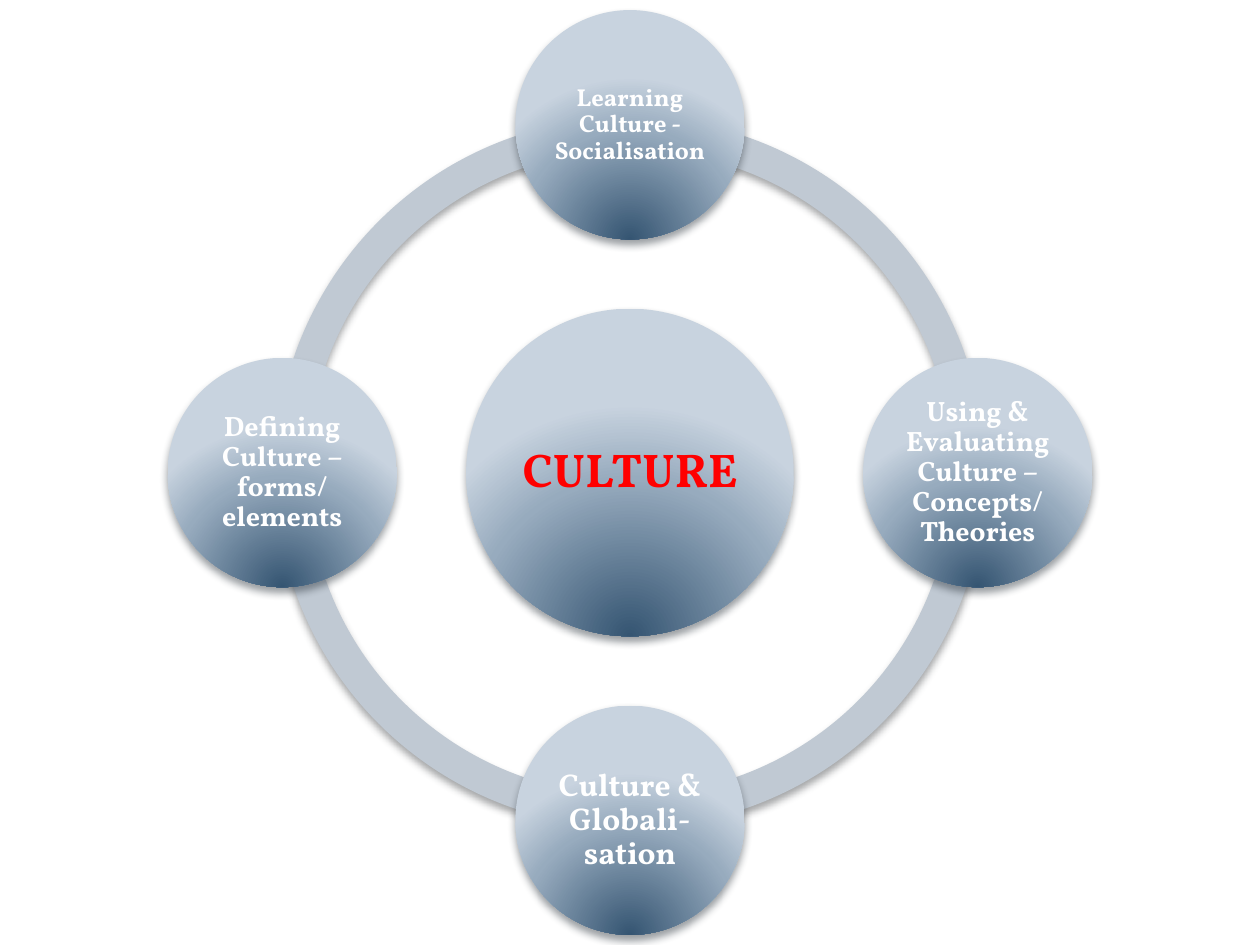
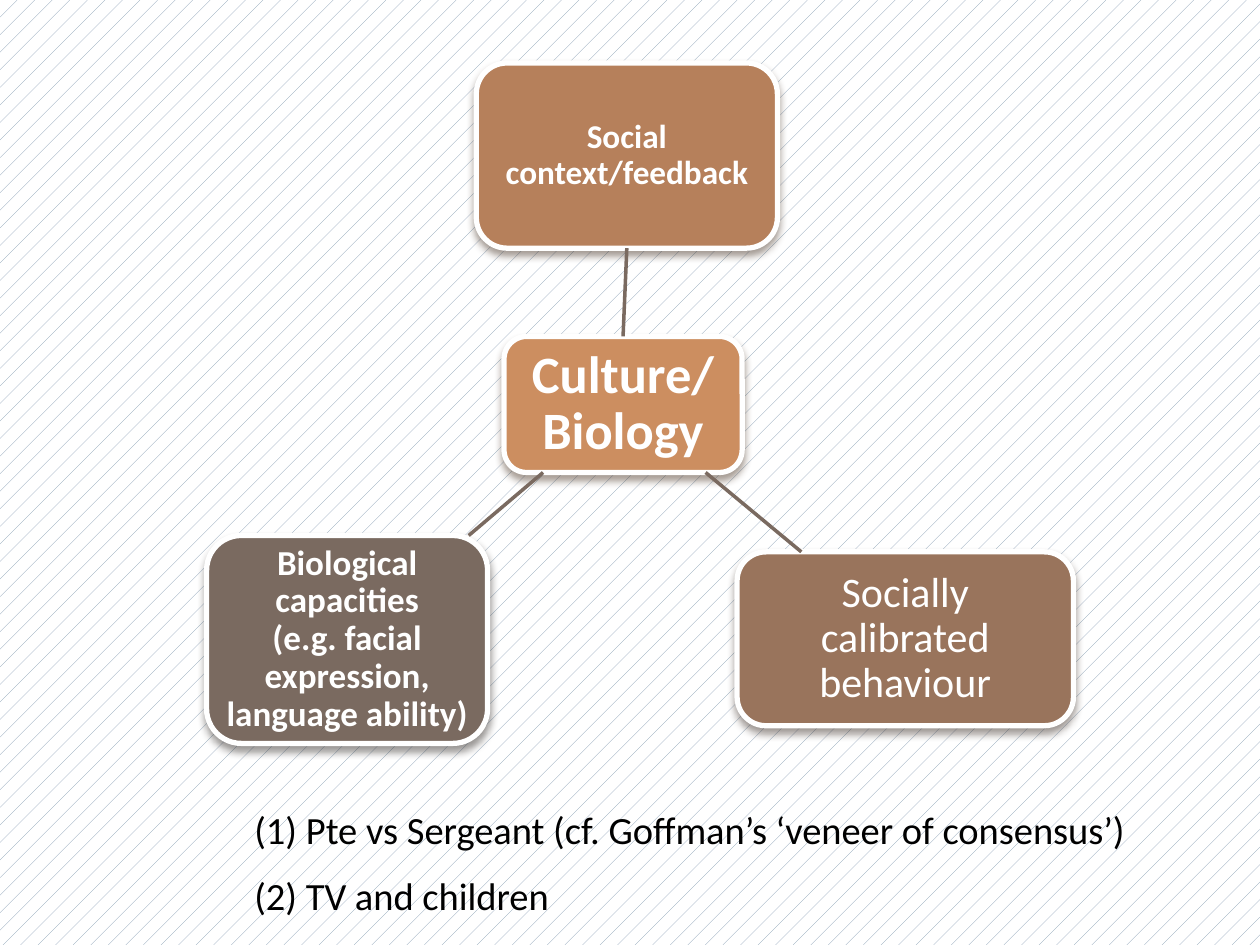
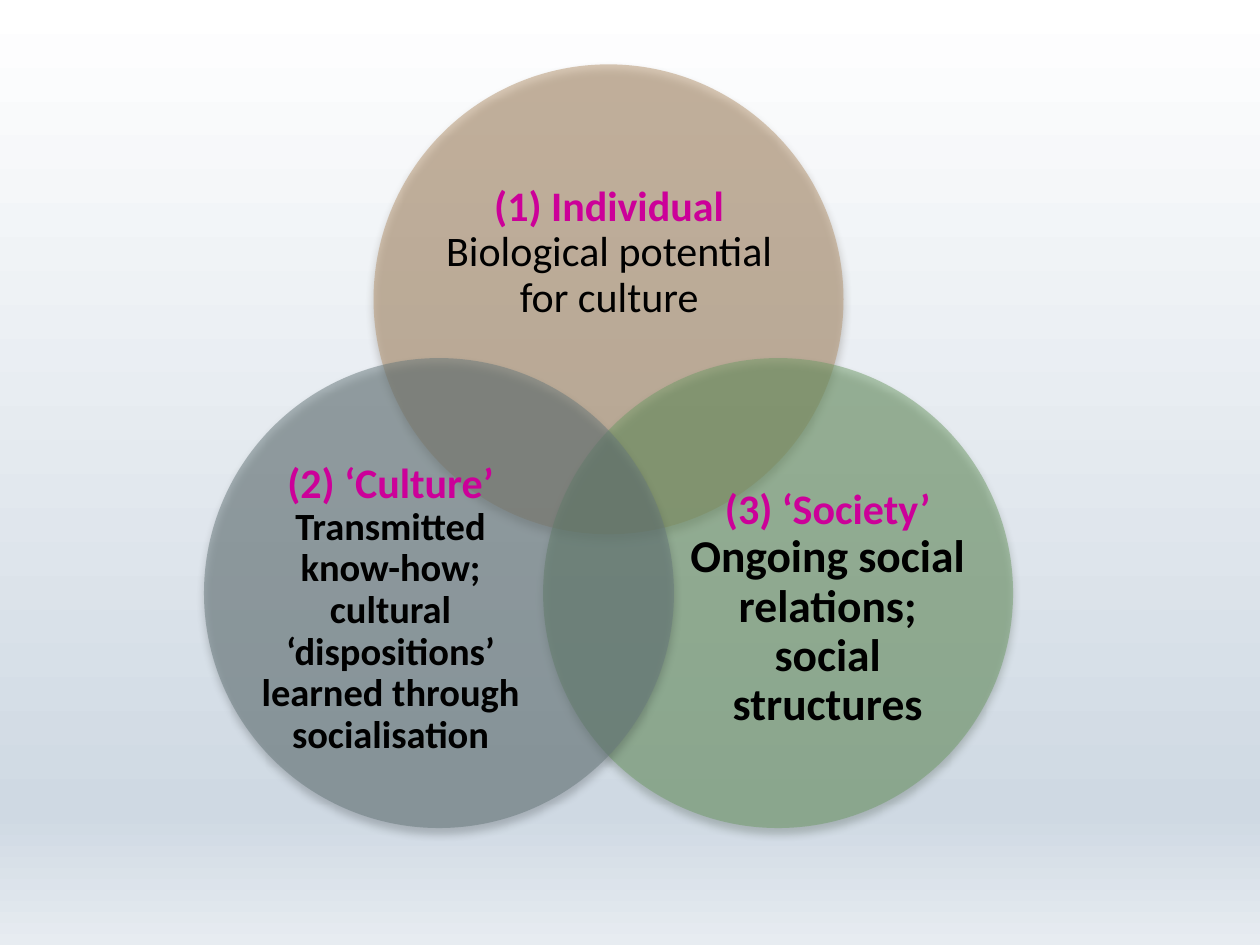
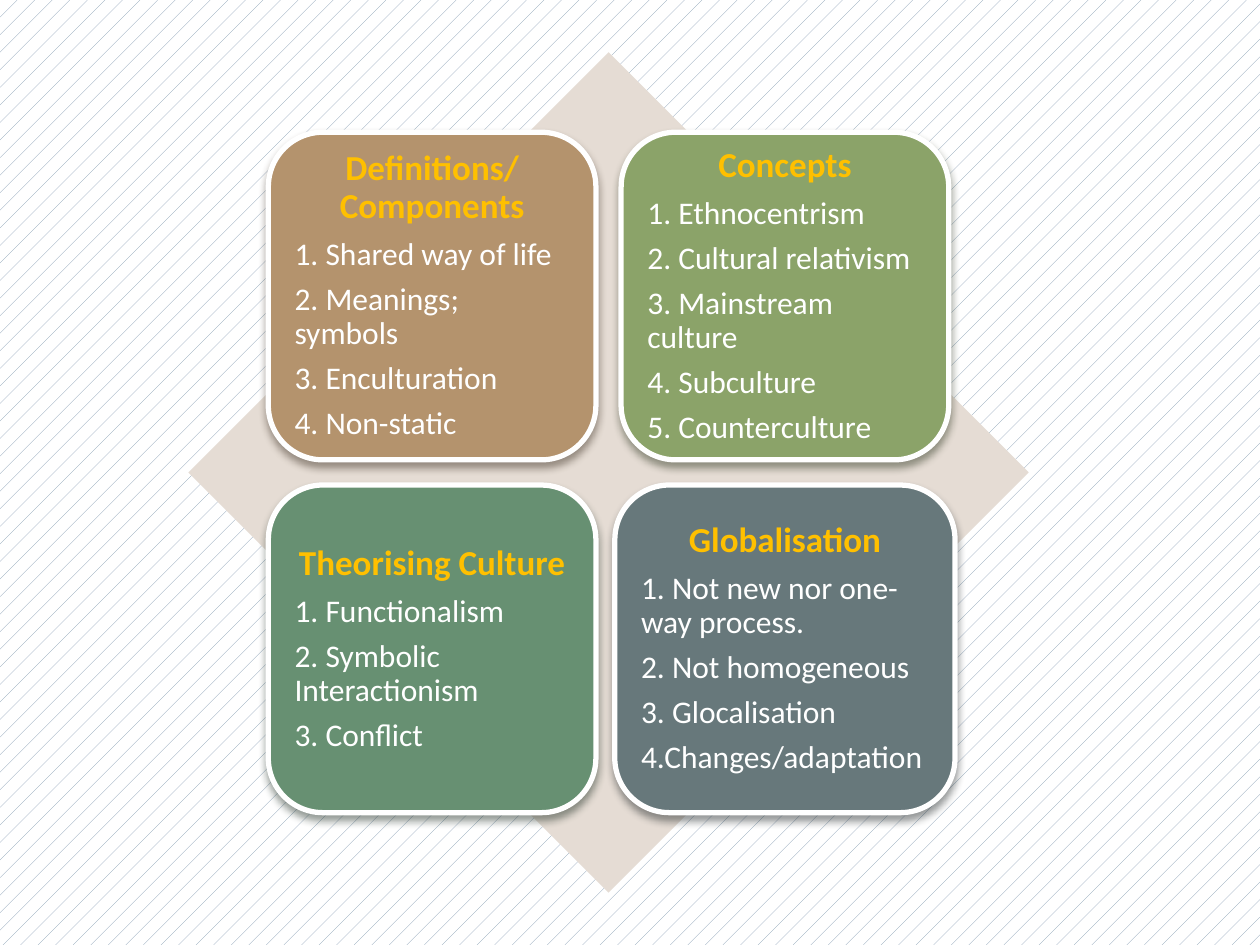
import copy
import math
from dataclasses import dataclass

import pptx
import pptx.dml.color
import pptx.enum.dml
import pptx.enum.shapes
import pptx.enum.text
import pptx.oxml
import pptx.oxml.ns
import pptx.util

SHAPE = pptx.enum.shapes.MSO_SHAPE
ALIGN = pptx.enum.text.PP_ALIGN
qn = pptx.oxml.ns.qn
NS = pptx.oxml.ns.nsdecls("a")

# Grid: 100 columns by 75 rows
COLS, ROWS = 100, 75
SLIDE_W, SLIDE_H = pptx.util.Inches(10), pptx.util.Inches(7.5)

# Shared colours and styles
WHITE, BLACK, RED = "FFFFFF", "000000", "FF0000"
BLUE, RING, DIAMOND = "7E97AD", "C0C9D3", "E5DCD4"
ORANGE, COPPER, BROWN, TAUPE = "CC8E60", "B6805B", "99745C", "7A6A60"
TAN, OLIVE, GREEN, SAGE, SLATE = "B4936D", "8BA369", "6F9B67", "679072", "67787B"
MAGENTA, GOLD = "CC0099", "FFC000"
BODY, SERIF = "Calibri", "Vollkorn"
BALL_STOPS = [(0, "355572"), (68, "97ABBE"), (100, "C8D3DF")]
SKY_STOPS = [(0, WHITE), (86, "CFD9E3"), (100, "E7ECF1")]
BALL_PATH = '<a:path path="circle"><a:fillToRect l="50000" t="130000" r="50000" b="-30000"/></a:path>'
DOWNWARD = '<a:lin ang="5400000" scaled="0"/>'
SHADE = 0.357          # shadow colour as a share of the fill colour
# Share of the size left free on each side of the text area
TEXT_INSET = {SHAPE.OVAL: 0.146, SHAPE.ROUNDED_RECTANGLE: 0.049}


@dataclass
class Box:
    """A place on the grid, in columns and rows."""
    left: float
    top: float
    width: float
    height: float

    def inner(self, share: float) -> "Box":
        d = share * min(self.width, self.height)
        return Box(self.left + d, self.top + d, self.width - 2 * d, self.height - 2 * d)

    def emu(self) -> list[int]:
        return [col(self.left), row(self.top), col(self.width), row(self.height)]


@dataclass
class Run:
    text: str
    size: float
    color: str = WHITE
    bold: bool = True
    font: str = BODY


@dataclass
class Para:
    runs: list[Run]
    align: ALIGN = ALIGN.CENTER


@dataclass
class Node:
    """A filled shape with its label."""
    box: Box
    kind: SHAPE
    fill: str
    paras: list[Para]
    margin: float = 0.0             # label margin, in columns
    label_box: Box | None = None    # set when the label is off centre
    outlined: bool = False
    ball: bool = False
    alpha: int = 100


def col(n: float) -> int:
    return round(SLIDE_W * n / COLS)


def row(n: float) -> int:
    return round(SLIDE_H * n / ROWS)


def rgb(color: str) -> pptx.dml.color.RGBColor:
    return pptx.dml.color.RGBColor.from_string(color)


def darker(color: str) -> str:
    return "".join(f"{round(int(color[i:i + 2], 16) * SHADE):02X}" for i in (0, 2, 4))


def centred(x: float, y: float, width: float, height: float) -> Box:
    return Box(x - width / 2, y - height / 2, width, height)


def orbit(x: float, y: float, radius: float, degrees: float, size: float) -> Box:
    a = math.radians(degrees)
    return centred(x + radius * math.cos(a), y + radius * math.sin(a), size, size)


# Fills, shadows and backgrounds
def set_gradient(fill, root, stops: list[tuple[int, str]], direction: str) -> None:
    fill.gradient()
    grad = root.find(".//" + qn("a:gradFill"))
    grad.clear()
    gs = "".join(f'<a:gs pos="{pos * 1000}"><a:srgbClr val="{c}"/></a:gs>' for pos, c in stops)
    grad.append(pptx.oxml.parse_xml(f"<a:gsLst {NS}>{gs}</a:gsLst>"))
    grad.append(pptx.oxml.parse_xml(direction.replace(" ", f" {NS} ", 1)))


def add_shadow(sp, color: str) -> None:
    blur, dist = pptx.util.Pt(4.5), pptx.util.Pt(3)
    sp._element.spPr.find(qn("a:effectLst")).append(pptx.oxml.parse_xml(
        f'<a:outerShdw {NS} blurRad="{blur}" dist="{dist}" dir="5400000" rotWithShape="0">'
        f'<a:srgbClr val="{darker(color)}"><a:alpha val="48000"/></a:srgbClr></a:outerShdw>'))


def pattern_background(s) -> None:
    fill = s.background.fill
    fill.patterned()
    fill.pattern = pptx.enum.dml.MSO_PATTERN.PERCENT_5
    fill.fore_color.rgb = rgb(BLUE)
    fill.back_color.rgb = rgb(WHITE)


# Shapes and text
def add_shape(s, kind: SHAPE, box: Box, color: str, shadow: bool = True):
    sp = s.shapes.add_shape(kind, *box.emu())
    sp.shadow.inherit = False
    sp.fill.solid()
    sp.fill.fore_color.rgb = rgb(color)
    sp.line.fill.background()
    if shadow:
        add_shadow(sp, color)
    return sp


def add_run(p, run: Run) -> None:
    for i, part in enumerate(run.text.split("\n")):
        if i:
            p.add_line_break()
            p._p.findall(qn("a:br"))[-1].append(copy.deepcopy(p.runs[-1]._r.rPr))
        if part:
            r = p.add_run()
            r.text = part
            r.font.size = pptx.util.Pt(run.size)
            r.font.name = run.font
            r.font.bold = run.bold
            r.font.color.rgb = rgb(run.color)


def add_label(s, box: Box, paras: list[Para], margin: float) -> None:
    tf = s.shapes.add_textbox(*box.emu()).text_frame
    tf.word_wrap = True
    tf.vertical_anchor = pptx.enum.text.MSO_ANCHOR.MIDDLE
    tf.margin_left = tf.margin_top = tf.margin_right = tf.margin_bottom = col(margin)
    for i, para in enumerate(paras):
        p = tf.add_paragraph() if i else tf.paragraphs[0]
        p.alignment = para.align
        p.line_spacing = 0.9
        p.space_after = pptx.util.Pt(0.35 * para.runs[-1].size)
        for run in para.runs:
            add_run(p, run)


def add_node(s, node: Node):
    sp = add_shape(s, node.kind, node.box, node.fill)
    if node.ball:
        set_gradient(sp.fill, sp._element, BALL_STOPS, BALL_PATH)
    if node.alpha < 100:
        sp._element.spPr.find(qn("a:solidFill"))[0].append(
            pptx.oxml.parse_xml(f'<a:alpha {NS} val="{node.alpha * 1000}"/>'))
    if node.outlined:
        sp.line.color.rgb = rgb(WHITE)
        sp.line.width = pptx.util.Pt(3)
    label = node.label_box or node.box.inner(TEXT_INSET[node.kind])
    add_label(s, label, node.paras, node.margin)
    return sp


def add_line(s, x1: float, y1: float, x2: float, y2: float):
    line = s.shapes.add_connector(pptx.enum.shapes.MSO_CONNECTOR.STRAIGHT,
                                  col(x1), row(y1), col(x2), row(y2))
    line.line.color.rgb = rgb(TAUPE)
    line.line.width = pptx.util.Pt(2)
    line._element.spPr.append(pptx.oxml.parse_xml(f"<a:effectLst {NS}/>"))
    return line


# Slide 1: topics around culture
def culture_ring(s) -> None:
    s.background.fill.solid()
    s.background.fill.fore_color.rgb = rgb(WHITE)
    cx, cy, quarter = COLS / 2, ROWS / 2, 54
    for k in (2, 1, 0, 3):
        arc = add_shape(s, SHAPE.BLOCK_ARC, centred(cx, cy, 56.4, 56.4), RING)
        for i, value in enumerate((quarter * k, quarter * ((k + 1) % 4), 0.046)):
            arc.adjustments[i] = value

    def ball(box: Box, text: str, size: float, margin: float, color: str = WHITE) -> None:
        add_node(s, Node(box, SHAPE.OVAL, BLUE, [Para([Run(text, size, color, font=SERIF)])],
                         margin, ball=True))

    ball(centred(cx, cy, 26, 26), "CULTURE", 27, 0.4, RED)
    topics = [
        (-90, "Learning Culture - Socialisation", 14, 0.2),
        (0, "Using & Evaluating Culture – Concepts/\nTheories", 16, 0.2),
        (90, "Culture & Globali-sation", 18, 0.3),
        (180, "Defining Culture – forms/\nelements", 16, 0.2),
    ]
    for degrees, text, size, margin in topics:
        ball(orbit(cx, cy, 27.6, degrees, 18.2), text, size, margin)


# Slide 2: culture and biology
def culture_biology(s) -> None:
    pattern_background(s)
    tf = s.shapes.add_textbox(*Box(9.2, 63.5, 90.8, 10.3).emu()).text_frame
    tf.word_wrap = True
    notes = ["(1) Pte vs Sergeant (cf. Goffman’s ‘veneer of consensus’)", "(2) TV and children"]
    for i, text in enumerate(notes):
        p = tf.add_paragraph() if i else tf.paragraphs[0]
        p.space_before = pptx.util.Pt(11)
        p._p.get_or_add_pPr().set("marL", str(col(10)))
        add_run(p, Run(text, 22, BLACK, False))

    boxes = [
        (Box(40, 26.7, 18.9, 10.8), ORANGE, Run("Culture/Biology", 30), 0.8),
        (Box(37.8, 5, 23.9, 14.7), COPPER, Run("Social context/feedback", 19), 0.5),
        (Box(58.5, 43.8, 26.7, 13.8), BROWN,
         Run("Socially calibrated behaviour", 24, bold=False), 0.7),
        (Box(16.4, 42.5, 22.3, 16.5), TAUPE,
         Run("Biological capacities\n(e.g. facial expression, language ability)", 20), 0.6),
    ]
    hub, social, *_ = [
        add_node(s, Node(box, SHAPE.ROUNDED_RECTANGLE, color, [Para([run])], margin, outlined=True))
        for box, color, run, margin in boxes]
    spoke = add_line(s, 49.5, 26.7, 49.6, 19.6)
    spoke.begin_connect(hub, 0)
    spoke.end_connect(social, 2)
    add_line(s, 56, 37.5, 63.6, 43.8)
    add_line(s, 43.1, 37.5, 37.2, 42.5)


# Slide 3: three overlapping circles
def culture_venn(s) -> None:
    set_gradient(s.background.fill, s._element, SKY_STOPS, DOWNWARD)
    circles = [
        (-90, TAN, Box(34.7, 11.7, 27.3, 16.8), "(1) Individual",
         Run("Biological potential for culture", 24, BLACK, False)),
        (30, GREEN, Box(54.5, 38.1, 22.4, 20.5), "(3) ‘Society’",
         Run("Ongoing social relations; social structures", 26, BLACK)),
        (150, SLATE, Box(19.8, 38.1, 22.4, 20.5), "(2) ‘Culture’",
         Run("Transmitted know-how; cultural ‘dispositions’ learned through socialisation",
             22, BLACK)),
    ]
    for degrees, color, label_box, title, body in circles:
        paras = [Para([Run(title + "\n", 24, MAGENTA), body])]
        add_node(s, Node(orbit(48.3, 39.3, 15.54, degrees, 37.3), SHAPE.OVAL, color, paras,
                         label_box=label_box, alpha=50))


# Slide 4: summary cards on a diamond
def summary_cards(s) -> None:
    pattern_background(s)
    cx, cy, card, gap = 48.3, 37.5, 26, 2
    add_shape(s, SHAPE.DIAMOND, centred(cx, cy, 66.7, 66.7), DIAMOND, shadow=False)
    cards = [
        (TAN, card, "Definitions/\nComponents",
         ["1. Shared way of life", "2. Meanings; symbols", "3. Enculturation", "4. Non-static"]),
        (OLIVE, card, "Concepts",
         ["1. Ethnocentrism", "2. Cultural relativism", "3. Mainstream culture",
          "4. Subculture", "5. Counterculture"]),
        (SAGE, card, "Theorising Culture",
         ["1. Functionalism", "2. Symbolic Interactionism", "3. Conflict"]),
        (SLATE, card + 1, "Globalisation",
         ["1. Not new nor one-way process.", "2. Not homogeneous", "3. Glocalisation",
          "4.Changes/adaptation"]),
    ]
    step = card + gap
    for i, (color, width, title, items) in enumerate(cards):
        box = centred(cx + (i % 2 - 0.5) * step, cy + (i // 2 - 0.5) * step, width, card)
        paras = [Para([Run(title, 20, GOLD)])]
        paras += [Para([Run(item, 18, bold=False)], ALIGN.LEFT) for item in items]
        add_node(s, Node(box, SHAPE.ROUNDED_RECTANGLE, color, paras, 0.8, outlined=True))


def main() -> None:
    prs = pptx.Presentation()
    prs.slide_width, prs.slide_height = SLIDE_W, SLIDE_H
    blank = prs.slide_layouts[6]
    for build in (culture_ring, culture_biology, culture_venn, summary_cards):
        build(prs.slides.add_slide(blank))
    prs.save("out.pptx")


if __name__ == "__main__":
    main()
